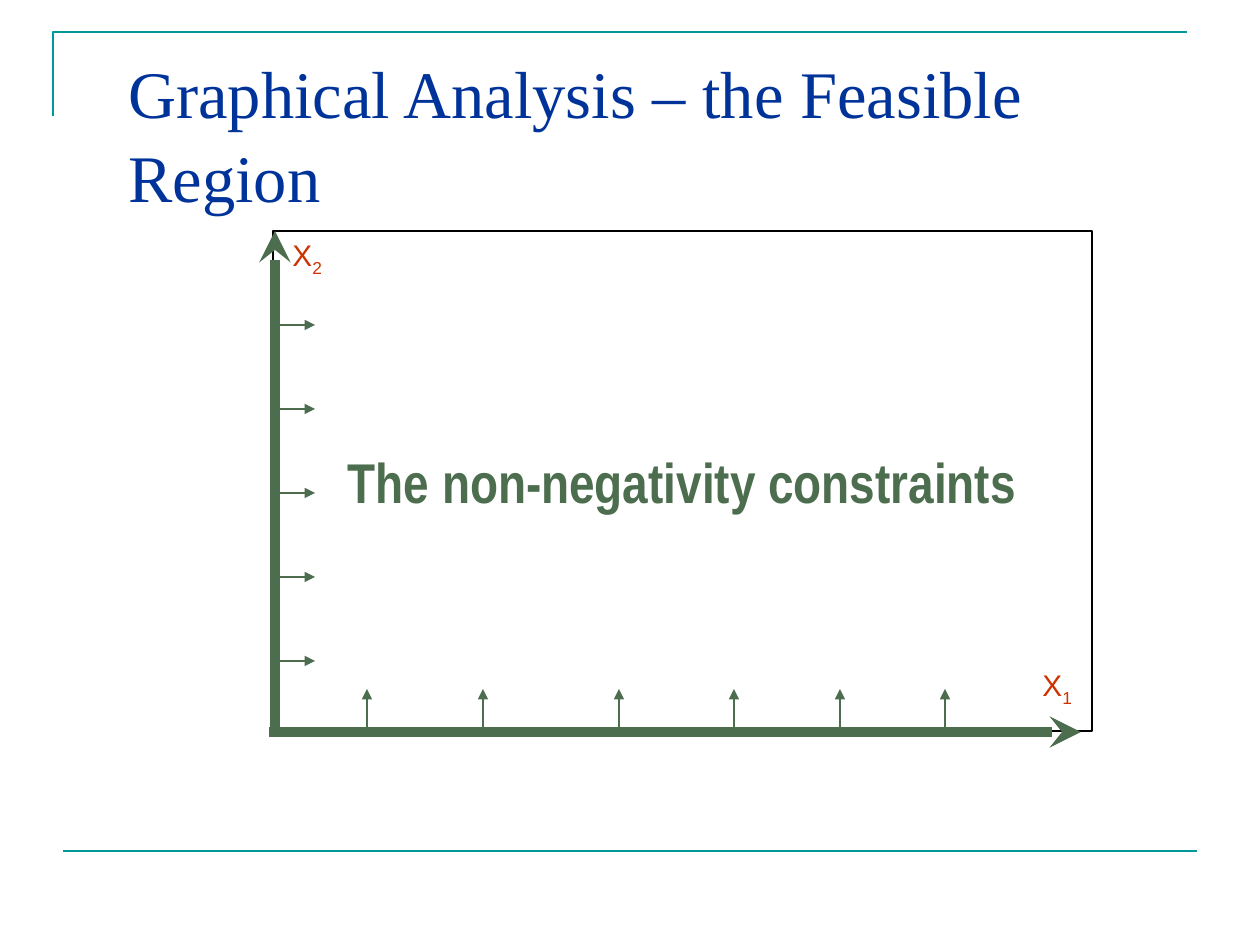
from dataclasses import dataclass

from lxml import etree
from pptx import Presentation, util as u
from pptx.dml.color import RGBColor
from pptx.enum import shapes, text
from pptx.oxml.ns import qn

SCALE = 914400 / 126


@dataclass(frozen=True)
class Theme:
    teal: str = "009999"
    navy: str = "003399"
    green: str = "4C6D4E"
    red: str = "CC3300"
    black: str = "000000"
    white: str = "FFFFFF"
    head: int = 38
    note: int = 32
    label: int = 17


T = Theme()


def px(n):
    return u.Emu(round(n * SCALE))


def color(hue):
    return RGBColor.from_string(hue)


def stroke(line, hue, width):
    line.color.rgb = color(hue)
    line.width = u.Pt(width)


def write(shape, words, size, hue, font, bold=False, sub="", wrap=False,
          align=text.PP_ALIGN.LEFT, anchor=text.MSO_ANCHOR.TOP, space=None):
    """Fill the shape with one paragraph; sub is set as a subscript."""
    frame = shape.text_frame
    frame.word_wrap = wrap
    frame.vertical_anchor = anchor
    para = frame.paragraphs[0]
    para.alignment = align
    if space:
        para.line_spacing = space
    for part in filter(None, (words, sub)):
        run = para.add_run()
        run.text = part
        run.font.size = u.Pt(size)
        run.font.name = font
        run.font.bold = bold
        run.font.color.rgb = color(hue)
    if sub:
        run.font._element.set("baseline", "-25000")


def box(slide, x, y, w, h):
    return slide.shapes.add_textbox(px(x), px(y), px(w), px(h))


def line(slide, start, end, hue, width, tip=None):
    """Draw a straight line, with an arrowhead of kind tip at its end."""
    link = slide.shapes.add_connector(
        shapes.MSO_CONNECTOR.STRAIGHT, *map(px, start + end))
    stroke(link.line, hue, width)
    if tip:
        etree.SubElement(link.line._get_or_add_ln(), qn("a:tailEnd"), type=tip)
    etree.SubElement(link._element.spPr, qn("a:effectLst"))


def corner(slide):
    build = slide.shapes.build_freeform(px(53), px(116))
    build.add_line_segments([(px(53), px(32)), (px(1187), px(32))], close=False)
    shape = build.convert_to_shape()
    shape.shadow.inherit = False
    shape.fill.background()
    stroke(shape.line, T.teal, 1.5)


def plot(slide):
    area = slide.shapes.add_shape(
        shapes.MSO_SHAPE.RECTANGLE, px(273), px(231), px(819), px(500))
    area.shadow.inherit = False
    area.fill.solid()
    area.fill.fore_color.rgb = color(T.white)
    stroke(area.line, T.black, 1)
    write(area, "The non-negativity constraints", T.note, T.green,
          "Arial Narrow", bold=True, align=text.PP_ALIGN.CENTER,
          anchor=text.MSO_ANCHOR.MIDDLE)


def axes(slide):
    line(slide, (269, 732), (1081, 732), T.green, 6, "stealth")
    line(slide, (275, 728), (275, 231), T.green, 6, "stealth")
    for sub, x, y in (("2", 280, 231), ("1", 1030, 661)):
        write(box(slide, x, y, 55, 53), "X", T.label, T.red, "Arial", sub=sub)


def ticks(slide):
    for y in range(325, 662, 84):
        line(slide, (273, y), (315, y), T.green, 1, "triangle")
    for x in (367, 483, 619, 734, 840, 945):
        line(slide, (x, 732), (x, 689), T.green, 1, "triangle")


def main():
    deck = Presentation()
    deck.slide_width, deck.slide_height = px(1260), px(945)
    slide = deck.slides.add_slide(deck.slide_layouts[6])
    corner(slide)
    line(slide, (63, 851), (1197, 851), T.teal, 1.5)
    plot(slide)
    axes(slide)
    write(box(slide, 116, 53, 1081, 158),
          "Graphical Analysis – the Feasible Region", T.head, T.navy,
          "Times New Roman", wrap=True, anchor=text.MSO_ANCHOR.MIDDLE,
          space=1.05)
    ticks(slide)
    deck.save("out.pptx")


if __name__ == "__main__":
    main()
